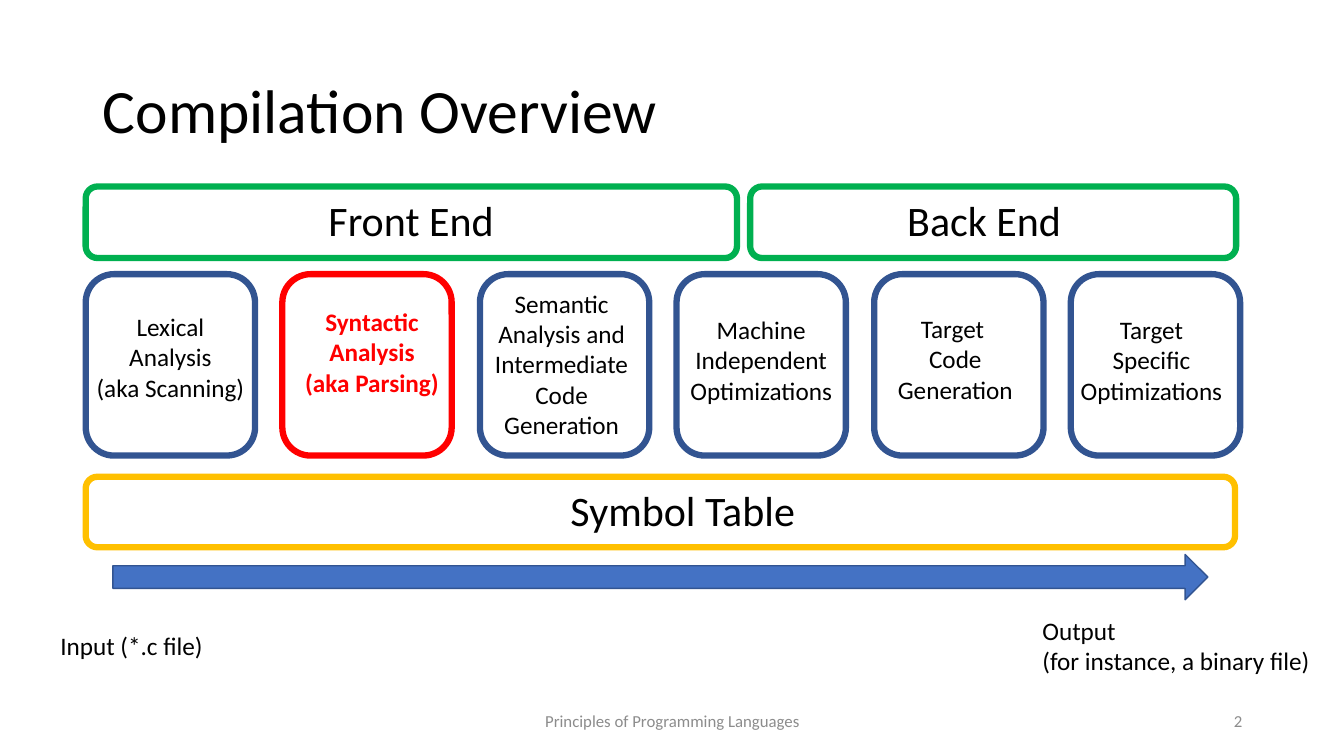
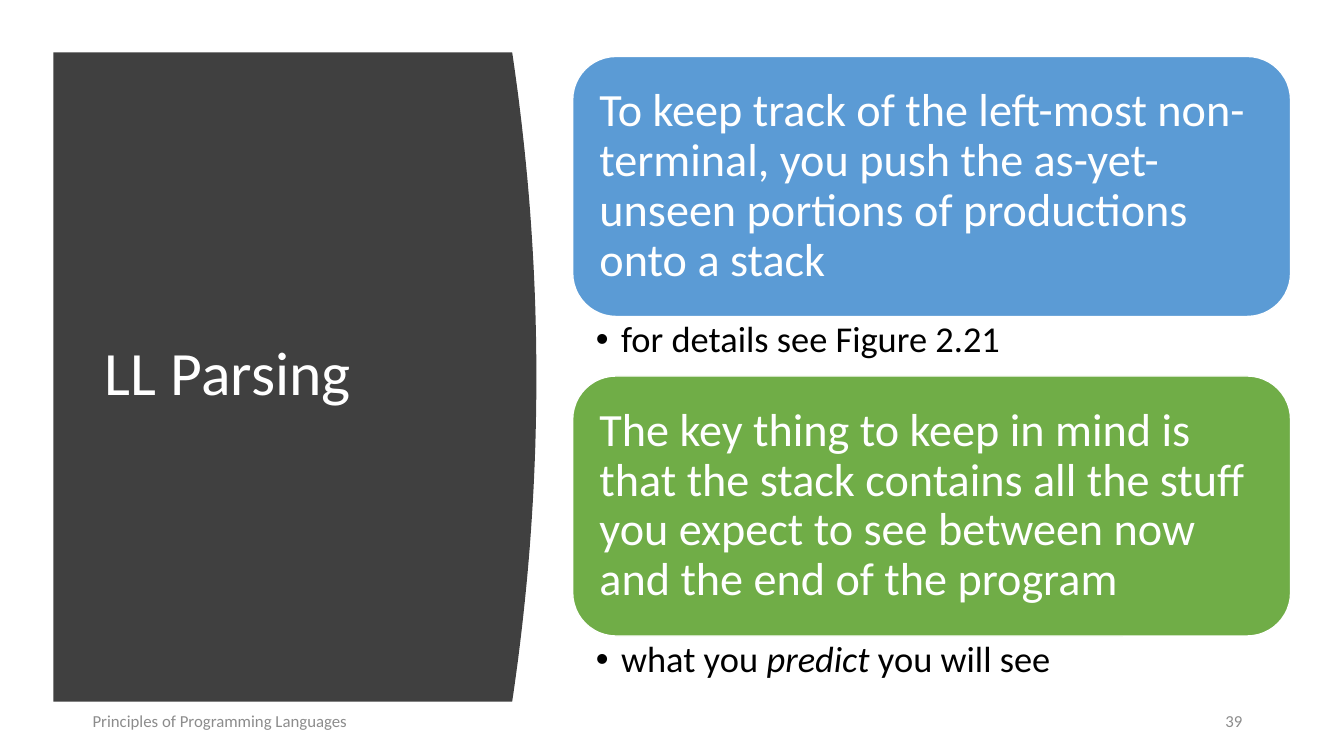
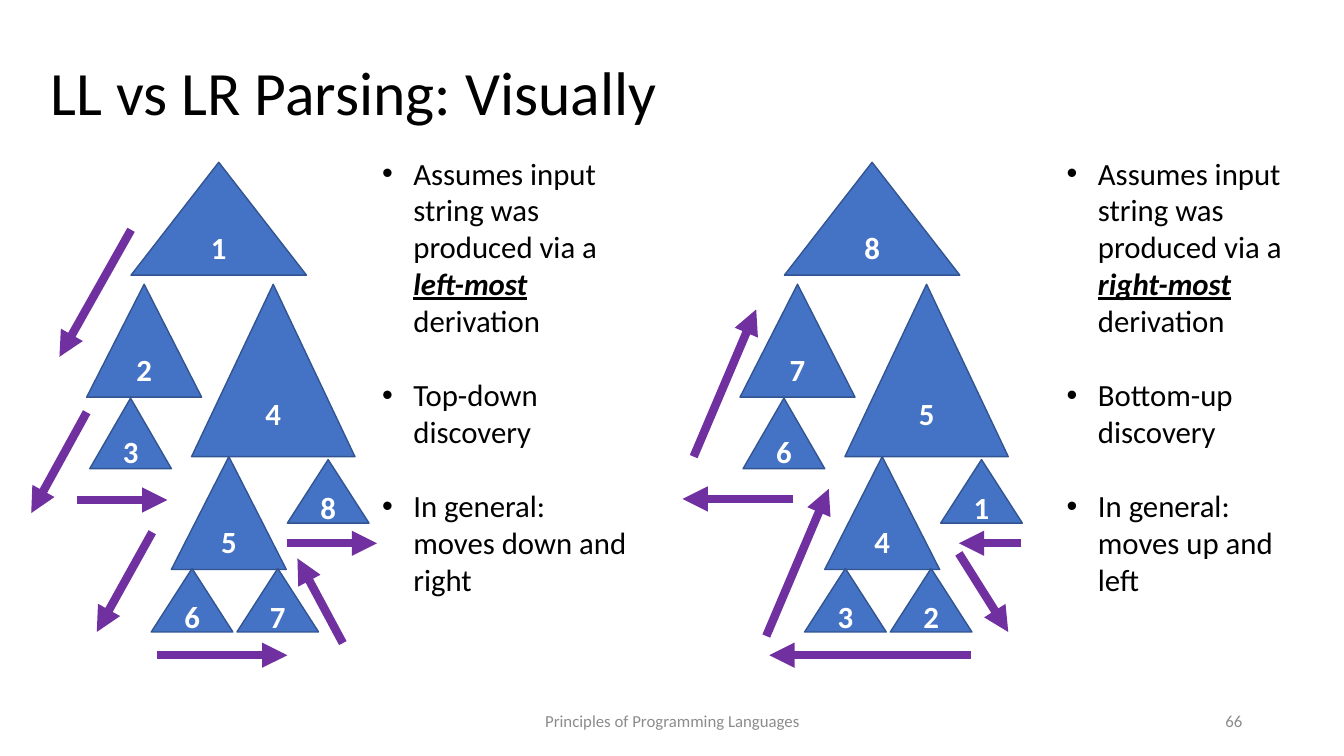
from lxml import etree
from pptx import Presentation
from pptx import util as u
from pptx.dml.color import RGBColor
from pptx.enum import shapes, text
from pptx.oxml.ns import qn

PX = 9144
FONT = "Calibri"
BLACK, WHITE, GREY = "000000", "FFFFFF", "8C8C8C"
BLUE, NAVY, RED, PURPLE = "4472C4", "325491", "FF0000", "7030A0"
GREEN, GOLD, CHARCOAL = "00B050", "FFC000", "404040"
LEFT, CENTER, RIGHT = text.PP_ALIGN.LEFT, text.PP_ALIGN.CENTER, text.PP_ALIGN.RIGHT
TOP, MIDDLE = text.MSO_ANCHOR.TOP, text.MSO_ANCHOR.MIDDLE
SHAPE = shapes.MSO_SHAPE


def write(shape, box, words, size, color=BLACK, align=LEFT, anchor=TOP,
          bold=None, wrap=True, insets=(10, 5, 10, 5), spacing=1.0):
    shape.left, shape.top, shape.width, shape.height = [n * PX for n in box]
    frame = shape.text_frame
    frame.auto_size = text.MSO_AUTO_SIZE.NONE
    frame.word_wrap = wrap
    frame.vertical_anchor = anchor
    (frame.margin_left, frame.margin_top,
     frame.margin_right, frame.margin_bottom) = [n * PX for n in insets]
    for index, line in enumerate(words.split("\n")):
        paragraph = frame.add_paragraph() if index else frame.paragraphs[0]
        paragraph.alignment = align
        paragraph.line_spacing = spacing
        paragraph.space_before = u.Pt(0)
        for position, piece in enumerate(line.split("_")):
            run = paragraph.add_run()
            run.text = piece
            run.font.name = FONT
            run.font.size = u.Pt(size)
            run.font.bold = bold
            run.font.italic = position % 2 == 1 or None
            run.font.color.rgb = RGBColor.from_string(color)


def draw(slide, kind, box, fill, line, width):
    shape = slide.shapes.add_shape(kind, *[n * PX for n in box])
    shape.shadow.inherit = False
    if fill:
        shape.fill.solid()
        shape.fill.fore_color.rgb = RGBColor.from_string(fill)
    else:
        shape.fill.background()
    shape.line.color.rgb = RGBColor.from_string(line)
    shape.line.width = u.Pt(width)
    return shape


presentation = Presentation()
presentation.slide_width = 1333 * PX
presentation.slide_height = 750 * PX

TITLE_ONLY, TWO_CONTENT = 5, 3
wide_footer, wide_number = (442, 695, 450, 40), (942, 695, 300, 40)
pages = [
    (TITLE_ONLY, "Compilation Overview", (92, 40, 1150, 145), BLACK,
     wide_footer, CENTER, wide_number, "2"),
    (TWO_CONTENT, "LL Parsing", (94, 111, 374, 524), WHITE,
     (82, 695, 450, 40), LEFT, (1173, 695, 69, 40), "39"),
    (TWO_CONTENT, "LL vs LR Parsing: Visually", (40, 22, 1150, 145), BLACK,
     wide_footer, CENTER, wide_number, "66"),
]
for layout, title, title_box, color, footer_box, align, number_box, number in pages:
    slide = presentation.slides.add_slide(presentation.slide_layouts[layout])
    write(slide.shapes.title, title_box, title, 44, color, anchor=MIDDLE, spacing=0.9)
    write(slide.shapes.add_textbox(0, 0, 0, 0), footer_box,
          "Principles of Programming Languages", 12, GREY, align, MIDDLE)
    write(slide.shapes.add_textbox(0, 0, 0, 0), number_box, number, 12, GREY, RIGHT, MIDDLE)
overview, ll_parsing, comparison = presentation.slides

stages = [
    ("Lexical\nAnalysis\n(aka Scanning)", (85, 304, 168, 101), False),
    ("Syntactic\nAnalysis\n(aka Parsing)", (292, 299, 154, 101), False),
    ("Semantic\nAnalysis and\nIntermediate\nCode Generation", (480, 281, 154, 162), True),
    ("Machine Independent Optimizations", (671, 307, 168, 101), True),
    ("Target \nCode\nGeneration", (875, 306, 145, 101), True),
    ("Target\nSpecific\nOptimizations", (1058, 307, 168, 101), True),
]
for index, (label, label_box, wrap) in enumerate(stages):
    current = label.startswith("Syntactic")
    stage_box = (85 + round(index * 195.4), 272, 168, 180)
    draw(overview, SHAPE.ROUNDED_RECTANGLE, stage_box, None, RED if current else NAVY, 4.5)
    write(overview.shapes.add_textbox(0, 0, 0, 0), label_box, label, 18,
          RED if current else BLACK, CENTER, bold=current or None, wrap=wrap)

bars = [
    ("Front End", (85, 185, 646, 71), (316, 188, 186, 61), GREEN),
    ("Back End", (744, 185, 482, 71), (890, 188, 243, 61), GREEN),
    ("Symbol Table", (85, 473, 1140, 70), (556, 476, 245, 61), GOLD),
]
for label, bar_box, label_box, color in bars:
    draw(overview, SHAPE.ROUNDED_RECTANGLE, bar_box, None, color, 4.5)
    write(overview.shapes.add_textbox(0, 0, 0, 0), label_box, label, 30, wrap=False)

draw(overview, SHAPE.RIGHT_ARROW, (112, 550, 1086, 45), BLUE, NAVY, 1)
for label, label_box in [
    ("Input (*.c file)", (50, 620, 163, 40)),
    ("Output\n(for instance, a binary file)", (1024, 605, 289, 71)),
]:
    write(overview.shapes.add_textbox(0, 0, 0, 0), label_box, label, 18, wrap=False)

panel_top, panel_bottom, panel_middle = 52, 696, 374
edge = [(532 - 24 * ((y - panel_middle) / (panel_bottom - panel_middle)) ** 2, y)
        for y in range(panel_top, panel_bottom + 1, 14)]
outline = [(round(x * PX), y * PX) for x, y in edge + [(53, panel_bottom)]]
builder = ll_parsing.shapes.build_freeform(53 * PX, panel_top * PX)
builder.add_line_segments(outline, close=True)
panel = builder.convert_to_shape()
panel.shadow.inherit = False
panel.fill.solid()
panel.fill.fore_color.rgb = RGBColor.from_string(CHARCOAL)
panel.line.fill.background()
ll_parsing.shapes.title.element.addprevious(panel.element)

cards = [
    ("To keep track of the left-most non-terminal, you push the as-yet-unseen "
     "portions of productions onto a stack", "for details see Figure 2.21", "5B9BD5"),
    ("The key thing to keep in mind is that the stack contains all the stuff "
     "you expect to see between now and the end of the program",
     "what you _predict_ you will see", "70AD47"),
]
for index, (statement, detail, color) in enumerate(cards):
    top = 56 + index * 317
    card_box = (568, top, 712, 258)
    card = draw(ll_parsing, SHAPE.ROUNDED_RECTANGLE, card_box, color, WHITE, 1)
    write(card, card_box, statement, 33, WHITE, LEFT, MIDDLE,
          insets=(14, 14, 14, 14), spacing=0.9)
    body = ll_parsing.placeholders[index + 1]
    write(body, (568, top + 258, 712, 60), detail, 26, insets=(23, 5, 26, 5), spacing=0.9)
    properties = body.text_frame.paragraphs[0]._p.get_or_add_pPr()
    properties.set("marL", str(25 * PX))
    properties.set("indent", str(-25 * PX))

triangles = [
    (2, (86, 282, 114, 112)), (4, (190, 282, 162, 171)),
    (5, (170, 453, 114, 112)), (8, (285, 456, 81, 63)),
    (6, (150, 564, 81, 63)), (7, (235, 564, 81, 63)),
    (3, (89, 395, 81, 70)), (1, (130, 161, 174, 112)),
]
for reverse, offset in [(False, 0), (True, 648)]:
    for step, (left, top, width, height) in triangles:
        box = (left + offset, top, width, height)
        triangle = draw(comparison, SHAPE.ISOSCELES_TRIANGLE, box, BLUE, NAVY, 1)
        write(triangle, box, str(9 - step if reverse else step), 22, WHITE,
              CENTER, MIDDLE, bold=True)

arrows = [
    (130, 228, 59, 354), (86, 409, 31, 509), (76, 496, 166, 496),
    (151, 528, 96, 627), (156, 650, 285, 650), (340, 638, 295, 554),
    (285, 539, 374, 539),
    (1013, 539, 951, 539), (951, 549, 1000, 627), (963, 650, 763, 650),
    (760, 631, 822, 485), (787, 495, 677, 495), (688, 453, 750, 307),
]
for arrow in arrows:
    connector = comparison.shapes.add_connector(
        shapes.MSO_CONNECTOR.STRAIGHT, *[n * PX for n in arrow])
    connector.line.color.rgb = RGBColor.from_string(PURPLE)
    connector.line.width = u.Pt(6)
    properties = connector.element.spPr
    etree.SubElement(properties.find(qn("a:ln")), qn("a:tailEnd"), type="triangle")
    etree.SubElement(properties, qn("a:effectLst"))

summaries = [
    (369, "Assumes input string was produced via a _left-most_ derivation\n"
          "Top-down discovery\nIn general: moves down and right"),
    (1048, "Assumes input string was produced via a _right-most_ derivation\n"
           "Bottom-up discovery\nIn general: moves up and left"),
]
for index, (left, summary) in enumerate(summaries):
    body = comparison.placeholders[index + 1]
    write(body, (left, 148, 269, 454), summary, 22)
    for position, paragraph in enumerate(body.text_frame.paragraphs):
        paragraph.space_before = u.Pt(26.5 if position else 0)
        properties = paragraph._p.get_or_add_pPr()
        properties.set("marL", str(31 * PX))
        properties.set("indent", str(-31 * PX))
        for run in paragraph.runs:
            if run.font.italic:
                run.font.bold = True
                run.font.underline = True

presentation.save("out.pptx")
